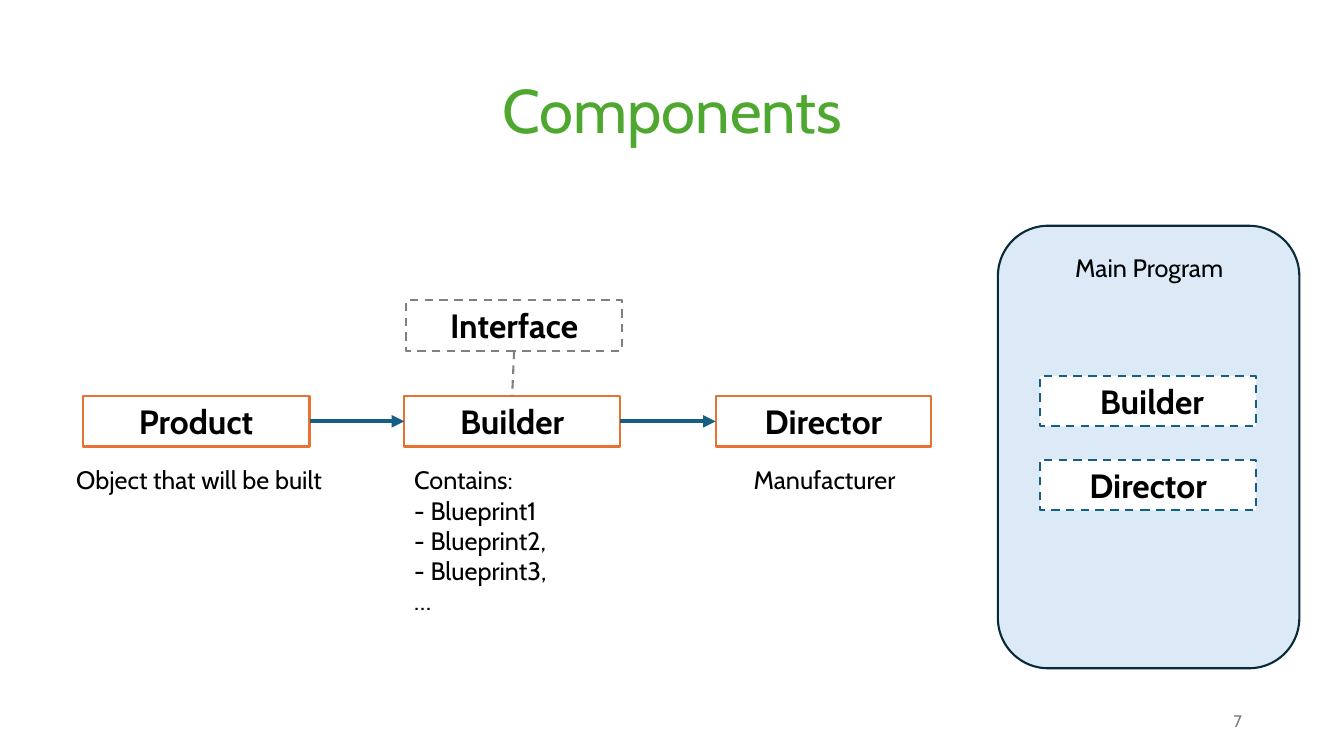
from lxml import etree
from pptx import Presentation
from pptx import util as u
from pptx.dml.color import RGBColor
from pptx.enum import dml, shapes, text
from pptx.oxml.ns import qn

GREEN = RGBColor(0x4E, 0xA7, 0x2E)
ORANGE = RGBColor(0xE9, 0x71, 0x32)
BLUE = RGBColor(0x15, 0x60, 0x82)
NAVY = RGBColor(0x09, 0x2A, 0x39)
PALE_BLUE = RGBColor(0xDC, 0xEA, 0xF7)
GREY = RGBColor(0x80, 0x80, 0x80)
NUMBER_GREY = RGBColor(0x79, 0x79, 0x79)
BLACK = RGBColor(0, 0, 0)
WHITE = RGBColor(0xFF, 0xFF, 0xFF)

# Connection sites of a rectangle
TOP, LEFT, BOTTOM, RIGHT = range(4)


def write(frame, lines, size=18, color=BLACK, bold=False, font="Cabin",
          align=text.PP_ALIGN.CENTER, anchor=text.MSO_ANCHOR.TOP,
          wrap=True, grow=True, spacing=None):
    """Fill a text frame with one paragraph per line."""
    frame.word_wrap = wrap
    frame.auto_size = (text.MSO_AUTO_SIZE.SHAPE_TO_FIT_TEXT if grow
                       else text.MSO_AUTO_SIZE.NONE)
    frame.vertical_anchor = anchor
    for number, line in enumerate(lines):
        paragraph = frame.add_paragraph() if number else frame.paragraphs[0]
        paragraph.alignment = align
        paragraph.line_spacing = spacing
        run = paragraph.add_run()
        run.text = line
        run.font.name = font
        run.font.size = u.Pt(size)
        run.font.bold = bold
        run.font.color.rgb = color


class Diagram:
    """Holds the slide; all lengths are percentages of its width and height."""

    box_width, box_height = 16.05, 6.67
    caption_height = 5.33

    def __init__(self, deck):
        self.deck = deck
        self.slide = deck.slides.add_slide(deck.slide_layouts[6])

    def area(self, left, top, width, height):
        across, down = self.deck.slide_width / 100, self.deck.slide_height / 100
        return (u.Emu(round(left * across)), u.Emu(round(top * down)),
                u.Emu(round(width * across)), u.Emu(round(height * down)))

    def outline(self, line, color, weight, dashed):
        line.color.rgb = color
        line.width = u.Pt(weight)
        if dashed:
            line.dash_style = dml.MSO_LINE.DASH

    def panel(self, area, fill, color, kind=shapes.MSO_SHAPE.RECTANGLE, dashed=False):
        panel = self.slide.shapes.add_shape(kind, *self.area(*area))
        panel.shadow.inherit = False
        panel.fill.solid()
        panel.fill.fore_color.rgb = fill
        self.outline(panel.line, color, 1.5, dashed)
        return panel

    def component(self, name, left, top, color, width=box_width, dashed=False):
        box = self.panel((left, top, width, self.box_height), WHITE, color,
                         dashed=dashed)
        write(box.text_frame, [name], size=24, bold=True)
        return box

    def label(self, lines, left, top, width, height=caption_height, **style):
        box = self.slide.shapes.add_textbox(*self.area(left, top, width, height))
        write(box.text_frame, lines, **style)

    def link(self, start, start_site, end, end_site, color, weight,
             dashed=False, arrow=False):
        link = self.slide.shapes.add_connector(shapes.MSO_CONNECTOR.STRAIGHT, 0, 0, 0, 0)
        link.begin_connect(start, start_site)
        link.end_connect(end, end_site)
        self.outline(link.line, color, weight, dashed)
        if arrow:
            etree.SubElement(link.line._get_or_add_ln(), qn("a:tailEnd"), type="triangle")
        etree.SubElement(link._element.spPr, qn("a:effectLst"))


def main():
    deck = Presentation()
    deck.slide_width, deck.slide_height = u.Inches(13.33), u.Inches(7.5)
    diagram = Diagram(deck)
    middle = text.MSO_ANCHOR.MIDDLE

    diagram.label(["Components"], 6.9, 5.33, 86.25, 19.33, size=44, color=GREEN,
                  anchor=middle, grow=False, spacing=0.9)

    chain_top, caption_top, builder_left = 52.4, 60.8, 30.08
    product = diagram.component("Product", 6.15, chain_top, ORANGE, width=16.88)
    builder = diagram.component("Builder", builder_left, chain_top, ORANGE)
    director = diagram.component("Director", 53.25, chain_top, ORANGE)
    interface = diagram.component("Interface", 30.23, 39.73, GREY, dashed=True)
    for giver, taker in ((product, builder), (builder, director)):
        diagram.link(giver, RIGHT, taker, LEFT, BLUE, 3, arrow=True)
    diagram.link(interface, BOTTOM, builder, TOP, GREY, 1.5, dashed=True)

    diagram.label(["Object that will be built"], 4.65, caption_top, 20.33, wrap=False)
    diagram.label(["Contains:", "- Blueprint1", "- Blueprint2,", "- Blueprint3,", "…"],
                  builder_left, caption_top, 11.55, 21.6, wrap=False,
                  align=text.PP_ALIGN.LEFT)
    diagram.label(["Manufacturer"], 55.05, caption_top, 12.6, wrap=False)

    diagram.panel((74.25, 29.87, 22.43, 58.53), PALE_BLUE, NAVY,
                  kind=shapes.MSO_SHAPE.ROUNDED_RECTANGLE)
    diagram.label(["Main Program"], 79.13, 32.67, 12.75, wrap=False)
    for name, top in ((" Builder", 49.73), ("Director", caption_top)):
        diagram.component(name, 77.4, top, BLUE, dashed=True)

    diagram.label(["7"], 70.65, 92.67, 22.5, size=12, color=NUMBER_GREY,
                  align=text.PP_ALIGN.RIGHT, anchor=middle, grow=False)
    deck.save("out.pptx")


if __name__ == "__main__":
    main()
